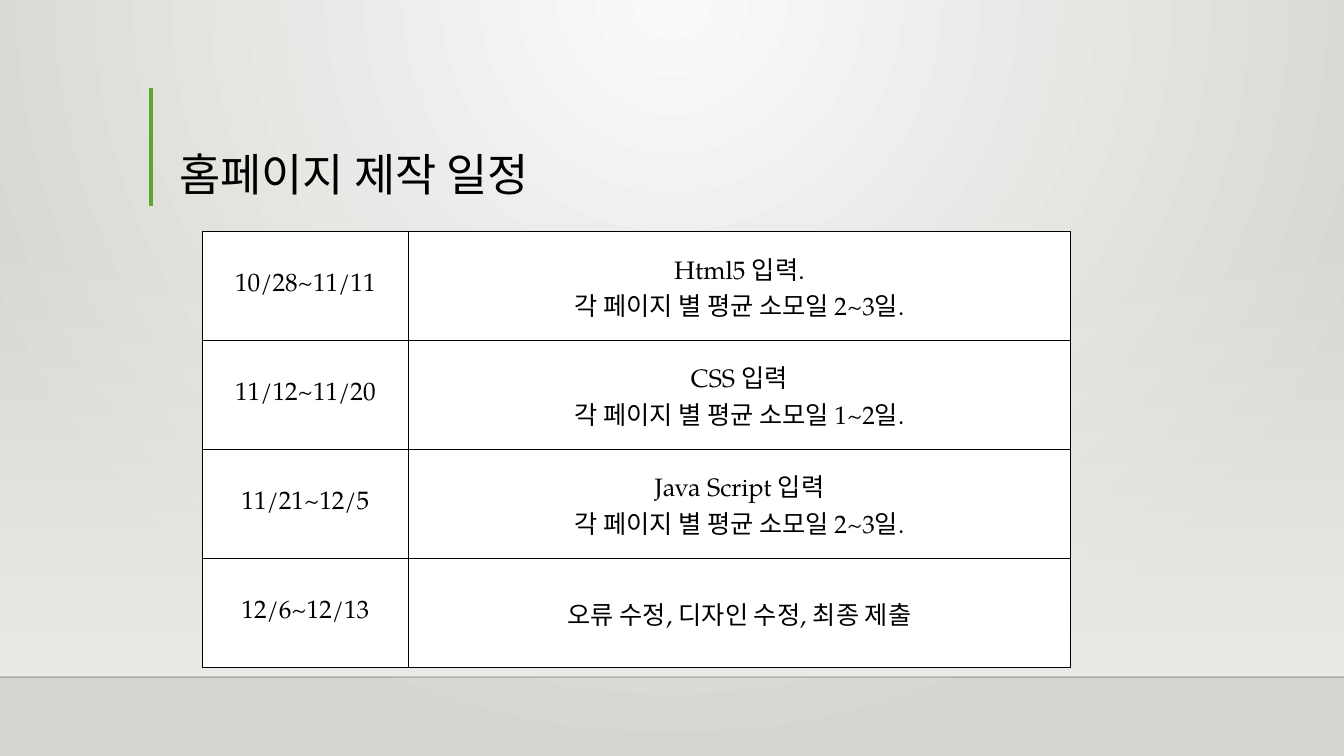
from lxml import etree
from pptx import Presentation
from pptx.dml.color import RGBColor
from pptx.enum.shapes import MSO_CONNECTOR, MSO_SHAPE
from pptx.enum.text import MSO_ANCHOR, PP_ALIGN
from pptx.oxml.ns import qn
from pptx.util import Pt

STRAIGHT = MSO_CONNECTOR.STRAIGHT
RECTANGLE = MSO_SHAPE.RECTANGLE
MIDDLE, BOTTOM = MSO_ANCHOR.MIDDLE, MSO_ANCHOR.BOTTOM
CENTER, LEFT = PP_ALIGN.CENTER, PP_ALIGN.LEFT

FONT = "TeX Gyre Pagella"
SLIDE_WIDTH, SLIDE_HEIGHT = 960, 540
TITLE = "홈페이지 제작 일정"
SCHEDULE = [
    ("10/28~11/11", ["Html5 입력.", "각 페이지 별 평균 소모일 2~3일."]),
    ("11/12~11/20", ["CSS 입력", "각 페이지 별 평균 소모일 1~2일."]),
    ("11/21~12/5", ["Java Script 입력", "각 페이지 별 평균 소모일 2~3일."]),
    ("12/6~12/13", ["오류 수정, 디자인 수정, 최종 제출"]),
]
DATE_SHARE = 0.237


def color(hex_text):
    """Turn a hex string into a colour."""
    return RGBColor.from_string(hex_text)


def add_alpha(parent, percent):
    """Set the opacity of the first colour inside an XML element."""
    tone = next(parent.iter(qn("a:srgbClr")))
    etree.SubElement(tone, qn("a:alpha"), val=str(percent * 1000))


def set_gradient(fill, tones):
    """Give a fill a gradient between two colours."""
    fill.gradient()
    for stop, tone, position in zip(fill.gradient_stops, tones, (0, 1)):
        stop.color.rgb = color(tone)
        stop.position = position


def write_lines(frame, lines, size, align, spacing=None):
    """Fill a text frame with one paragraph per line."""
    for index, line in enumerate(lines):
        para = frame.paragraphs[0] if index == 0 else frame.add_paragraph()
        para.alignment = align
        para.line_spacing = spacing
        span = para.add_run()
        span.text = line
        span.font.color.rgb = color("000000")
        for name, value in {"name": FONT, "size": Pt(size)}.items():
            setattr(span.font, name, value)


def add_line(page, start, end, tone, width):
    """Draw a straight line without a shadow."""
    line = page.shapes.add_connector(STRAIGHT, *map(Pt, start + end))
    line.line.color.rgb = color(tone)
    line.line.width = Pt(width)
    etree.SubElement(line.element.spPr, qn("a:effectLst"))
    return line


def add_backdrop(page, box):
    """Paint the radial background, the fading wall and the floor edge."""
    set_gradient(page.background.fill, ("FAFAF9", "D7D5D2"))
    gradient = next(page.element.iter(qn("a:gradFill")))
    gradient.remove(gradient.find(qn("a:lin")))
    circle = etree.SubElement(gradient, qn("a:path"), path="circle")
    etree.SubElement(circle, qn("a:fillToRect"),
                     l="43000", t="0", r="43000", b="100000")

    left, top, width, height = box
    wall = page.shapes.add_shape(RECTANGLE, *map(Pt, box))
    wall.shadow.inherit = False
    wall.line.fill.background()
    set_gradient(wall.fill, ("EDEBE7", "EDEBE7"))
    wall.fill.gradient_angle = 270
    add_alpha(wall.element.spPr, 0)

    floor = top + height + 1.4
    edge = add_line(page, (left, floor), (left + width, floor), "000001", 1)
    add_alpha(edge.element.spPr, 20)


def add_title(page, box):
    """Place the title with the green bar to its left."""
    left, top, width, height = box
    bar = left - 13
    add_line(page, (bar, top - 0.5), (bar, top + height), "5FA534", 3)
    frame = page.shapes.add_textbox(*map(Pt, box)).text_frame
    for name, value in {"word_wrap": True, "vertical_anchor": BOTTOM}.items():
        setattr(frame, name, value)
    write_lines(frame, [TITLE], 32, LEFT, 0.9)


def add_borders(cell):
    """Draw thin black borders on all four sides of a cell."""
    properties = cell._tc.get_or_add_tcPr()
    for side in ("lnL", "lnR", "lnT", "lnB"):
        border = etree.SubElement(properties, qn("a:" + side), w=str(Pt(1)))
        fill = etree.SubElement(border, qn("a:solidFill"))
        etree.SubElement(fill, qn("a:srgbClr"), val="000000")


def add_schedule(page, box):
    """Place the table of dates and tasks."""
    width, height = box[2:]
    table = page.shapes.add_table(len(SCHEDULE), 2, *map(Pt, box)).table
    for name in ("first_row", "horz_banding"):
        setattr(table, name, False)
    for column, share in zip(table.columns, (DATE_SHARE, 1 - DATE_SHARE)):
        column.width = Pt(width * share)
    for row, (dates, tasks) in zip(table.rows, SCHEDULE):
        row.height = Pt(height / len(SCHEDULE))
        for cell, lines in zip(row.cells, ([dates], tasks)):
            add_borders(cell)
            cell.fill.solid()
            cell.fill.fore_color.rgb = color("FFFFFF")
            cell.vertical_anchor = MIDDLE
            write_lines(cell.text_frame, lines, 18, CENTER)


def build_slide(deck):
    """Add the schedule slide to the deck."""
    page = deck.slides.add_slide(deck.slide_layouts[6])
    add_backdrop(page, (0, 158.4, SLIDE_WIDTH, 324))
    add_title(page, (121, 63.4, 750.5, 83.5))
    add_schedule(page, (144.7, 165.6, 620, 311.2))


deck = Presentation()
deck.slide_width, deck.slide_height = Pt(SLIDE_WIDTH), Pt(SLIDE_HEIGHT)
build_slide(deck)
deck.save("out.pptx")
